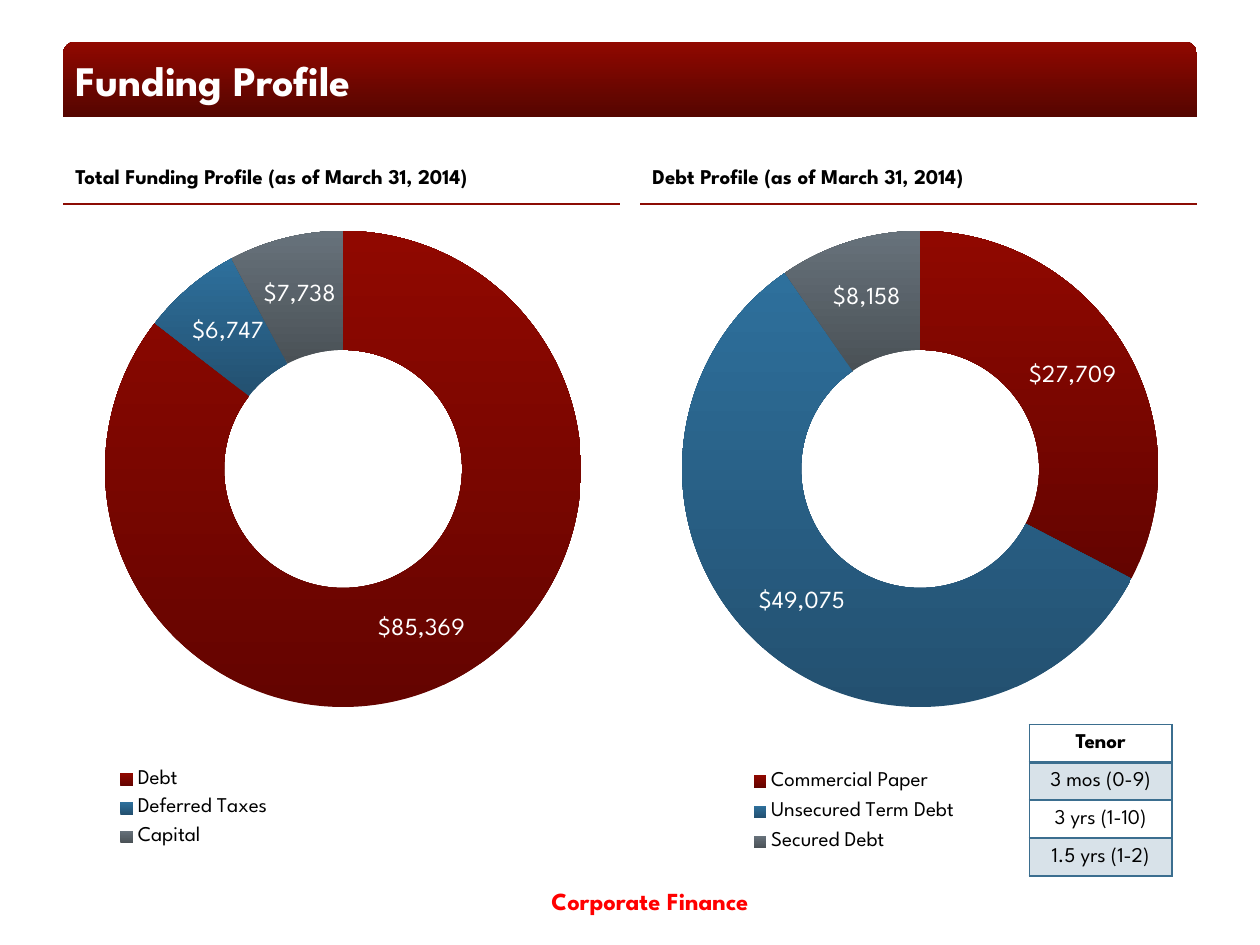
from lxml.etree import SubElement
from pptx import Presentation
from pptx.chart.data import CategoryChartData
from pptx.dml.color import RGBColor
from pptx.enum.chart import XL_CHART_TYPE, XL_LEGEND_POSITION
from pptx.enum.shapes import MSO_CONNECTOR, MSO_SHAPE
from pptx.enum.text import MSO_ANCHOR, PP_ALIGN
from pptx.oxml.ns import qn
from pptx.util import Inches, Pt

FONT = "League Spartan"
COLORS = {
    "black": "000000", "white": "FFFFFF", "footer": "FF0000", "rule": "8C0C04",
    "banner_top": "900800", "banner_bottom": "550500",
    "border": "3B6E8F", "band": "D8E2E9",
}
SLICE_GRADIENTS = [("900800", "640400"), ("2E709C", "235070"), ("67727B", "4A5156")]

COLUMN_WIDTH = 4.42
PLOT_LAYOUT = (0.075, 0.016, 0.856, 0.731)
PANELS = [
    {"left": 0.5, "heading": "Total Funding Profile (as of March 31, 2014)",
     "values": {"Debt": 85369, "Deferred Taxes": 6747, "Capital": 7738},
     "legend": (0.075, 0.83, 0.32, 0.145)},
    {"left": 5.08, "heading": "Debt Profile (as of March 31, 2014)",
     "values": {"Commercial Paper": 27709, "Unsecured Term Debt": 49075, "Secured Debt": 8158},
     "legend": (0.174, 0.83, 0.42, 0.156)},
]
TENORS = ["Tenor", "3 mos (0-9)", "3 yrs (1-10)", "1.5 yrs (1-2)"]


def rgb(name):
    return RGBColor.from_string(COLORS.get(name, name))


def box(left, top, width, height):
    return Inches(left), Inches(top), Inches(width), Inches(height)


def write(frame, text, size=12, color="black", bold=False, align=PP_ALIGN.LEFT,
          anchor=MSO_ANCHOR.TOP):
    frame.word_wrap = True
    frame.vertical_anchor = anchor
    paragraph = frame.paragraphs[0]
    paragraph.alignment = align
    run = paragraph.add_run()
    run.text = text
    style_font(run.font, size, color, bold)


def style_font(font, size, color="black", bold=False):
    font.name, font.size, font.bold = FONT, Pt(size), bold
    font.color.rgb = rgb(color)


def fill_gradient(fill, top, bottom):
    fill.gradient()
    fill.gradient_angle = 90
    for stop, color, position in zip(fill.gradient_stops, (bottom, top), (0, 1)):
        stop.color.rgb = rgb(color)
        stop.position = position


def set_layout(parent, index, fractions, inner=False):
    """Place a chart part by fractions of the chart: left, top, width, height."""
    for old in parent.findall(qn("c:layout")):
        parent.remove(old)
    layout = parent.makeelement(qn("c:layout"))
    parent.insert(index, layout)
    manual = SubElement(layout, qn("c:manualLayout"))
    settings = [("layoutTarget", "inner")] if inner else []
    settings += [("xMode", "edge"), ("yMode", "edge")]
    settings += zip("xywh", fractions)
    for tag, value in settings:
        SubElement(manual, qn(f"c:{tag}")).set("val", str(value))


def add_doughnut(slide, panel):
    data = CategoryChartData()
    data.categories = list(panel["values"])
    data.add_series("Series 1", list(panel["values"].values()))
    chart = slide.shapes.add_chart(
        XL_CHART_TYPE.DOUGHNUT, *box(panel["left"], 1.75, COLUMN_WIDTH, 5.17), data).chart
    style_font(chart.font, 18)
    chart.has_title = False
    chart.has_legend = True
    chart.legend.position = XL_LEGEND_POSITION.BOTTOM
    chart.legend.include_in_layout = False
    style_font(chart.legend.font, 12)
    set_layout(chart.element.find(".//" + qn("c:plotArea")), 0, PLOT_LAYOUT, inner=True)
    set_layout(chart.element.find(".//" + qn("c:legend")), 1, panel["legend"])

    plot = chart.plots[0]
    plot.vary_by_categories = True
    plot.has_data_labels = True
    labels = plot.data_labels
    labels.show_value, labels.show_percentage = True, False
    labels.number_format, labels.number_format_is_linked = '"$"#,##0', False
    style_font(labels.font, 14, "white")
    for index, (top, bottom) in enumerate(SLICE_GRADIENTS):
        point_format = plot.series[0].points[index].format
        fill_gradient(point_format.fill, top, bottom)
        point_format.line.fill.background()


def add_rule(slide, left):
    rule = slide.shapes.add_connector(
        MSO_CONNECTOR.STRAIGHT, Inches(left), Inches(1.62),
        Inches(left + COLUMN_WIDTH), Inches(1.62))
    rule.line.color.rgb = rgb("rule")
    rule.line.width = Pt(1.5)
    SubElement(rule.element.spPr, qn("a:effectLst"))


def set_borders(cell, bottom_points):
    properties = cell._tc.get_or_add_tcPr()
    sides = {"lnL": 1, "lnR": 1, "lnT": 1, "lnB": bottom_points}
    for index, (side, points) in enumerate(sides.items()):
        line = properties.makeelement(qn(f"a:{side}"), {"w": str(Pt(points))})
        properties.insert(index, line)
        solid = SubElement(line, qn("a:solidFill"))
        SubElement(solid, qn("a:srgbClr")).set("val", COLORS["border"])


def add_tenor_table(slide):
    table = slide.shapes.add_table(len(TENORS), 1, *box(8.17, 5.75, 1.13, 1.2)).table
    for index, text in enumerate(TENORS):
        cell = table.cell(index, 0)
        write(cell.text_frame, text, bold=index == 0, align=PP_ALIGN.CENTER)
        cell.vertical_anchor = MSO_ANCHOR.MIDDLE
        cell.fill.solid()
        cell.fill.fore_color.rgb = rgb("band" if index % 2 else "white")
        set_borders(cell, bottom_points=2 if index == 0 else 1)


def add_banner(slide):
    banner_box = box(0.5, 0.33, 9, 0.6)
    banner = slide.shapes.add_shape(MSO_SHAPE.ROUND_2_SAME_RECTANGLE, *banner_box)
    banner.shadow.inherit = False
    banner.line.fill.background()
    fill_gradient(banner.fill, "banner_top", "banner_bottom")

    title = slide.shapes.title
    title.left, title.top, title.width, title.height = banner_box
    write(title.text_frame, "Funding Profile", size=24, color="white", bold=True,
          anchor=MSO_ANCHOR.MIDDLE)
    banner.element.addnext(title.element)


def main():
    presentation = Presentation()
    presentation.slide_width, presentation.slide_height = Inches(10), Inches(7.5)
    slide = presentation.slides.add_slide(presentation.slide_layouts[5])
    add_banner(slide)
    footer = slide.shapes.add_textbox(*box(2.66, 6.95, 5, 0.4))
    write(footer.text_frame, "Corporate Finance", size=14, color="footer", bold=True,
          align=PP_ALIGN.CENTER, anchor=MSO_ANCHOR.MIDDLE)
    for panel in PANELS:
        add_rule(slide, panel["left"])
        heading = slide.shapes.add_textbox(*box(panel["left"], 1.25, COLUMN_WIDTH, 0.33))
        write(heading.text_frame, panel["heading"], bold=True)
        add_doughnut(slide, panel)
    add_tenor_table(slide)
    presentation.save("out.pptx")


if __name__ == "__main__":
    main()
